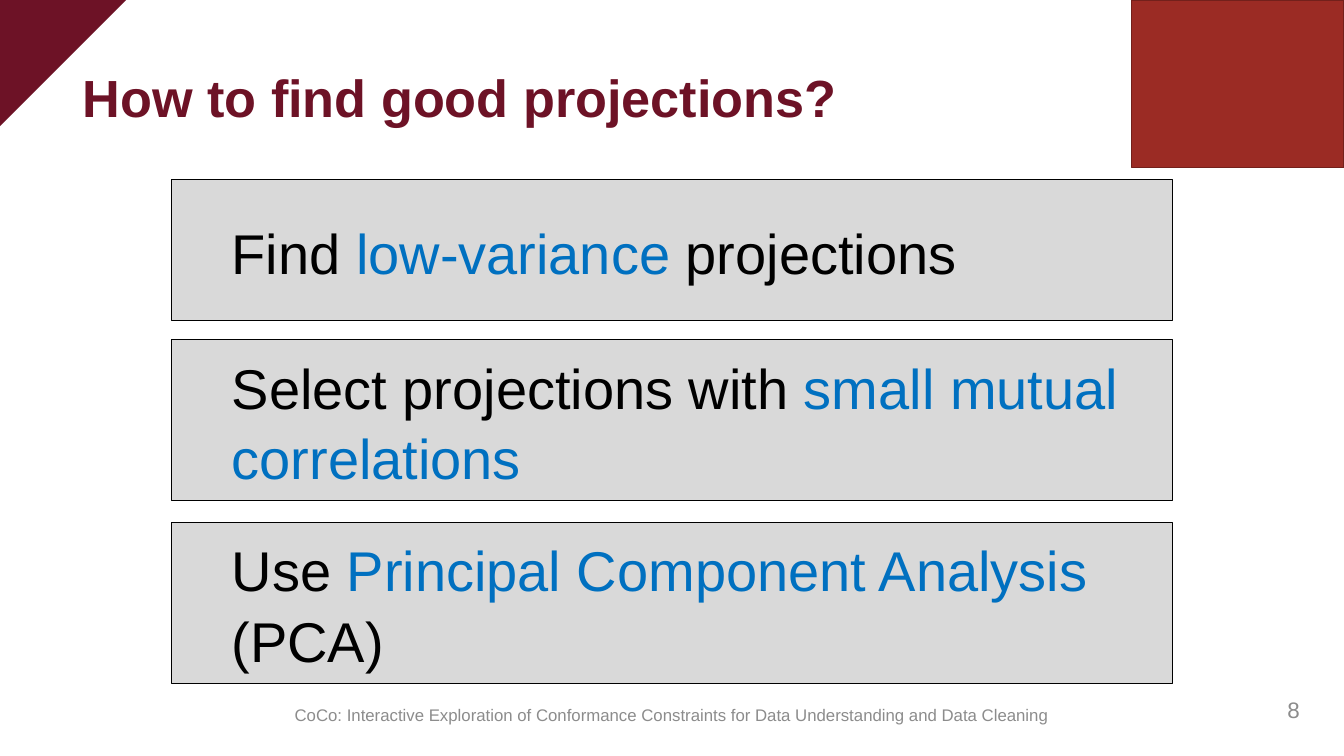
from pptx import Presentation
from pptx.dml.color import RGBColor
from pptx.enum.shapes import MSO_SHAPE
from pptx.enum.text import MSO_ANCHOR, PP_ALIGN
from pptx.util import Emu, Inches, Pt

SCALE = Inches(1) // 100
WINE = RGBColor(0x6D, 0x12, 0x26)
RED = RGBColor(0x9B, 0x2B, 0x24)
RUST = RGBColor(0x73, 0x20, 0x1B)
SILVER = RGBColor(0xD9, 0xD9, 0xD9)
GRAY = RGBColor(0x8C, 0x8C, 0x8C)
BLACK = RGBColor(0, 0, 0)
BLUE = RGBColor(0, 0x70, 0xC0)

# Top, height and coloured runs of each step
STEPS = [
    (178, 140, [("Find ", BLACK), ("low-variance", BLUE),
                (" projections", BLACK)]),
    (337, 160, [("Select projections with ", BLACK),
                ("small mutual correlations", BLUE)]),
    (518, 160, [("Use ", BLACK), ("Principal Component Analysis ", BLUE),
                ("(PCA)", BLACK)]),
]


def px(num):
    return Emu(num * SCALE)


def write(frame, runs, size, bold=False, align=PP_ALIGN.LEFT, wrap=True,
          indent=0, spacing=1.0):
    """Fill a text frame with one paragraph of (text, colour) runs."""
    frame.word_wrap = wrap
    frame.vertical_anchor = MSO_ANCHOR.MIDDLE
    para = frame.paragraphs[0]
    para.alignment = align
    para.line_spacing = spacing
    props = para._p.get_or_add_pPr()
    props.set("marL", str(px(indent)))
    props.set("indent", "0")
    for text, color in runs:
        run = para.add_run()
        run.text = text
        font = run.font
        font.name = "Arial"
        font.size = Pt(size)
        font.bold = bold
        font.color.rgb = color


class Page:
    def __init__(self, deck, font_size):
        self.slide = deck.slides.add_slide(deck.slide_layouts[5])
        self.shapes = self.slide.shapes
        self.size = font_size

    def title(self, text, *box):
        head = self.shapes.title
        head.left, head.top, head.width, head.height = map(px, box)
        frame = head.text_frame
        frame.margin_left = px(20)
        frame.margin_top = frame.margin_right = frame.margin_bottom = 0
        write(frame, [(text, WINE)], 37.3, bold=True, wrap=False)

    def shape(self, kind, *box, fill, line=None, weight=1):
        item = self.shapes.add_shape(kind, *map(px, box))
        item.shadow.inherit = False
        item.fill.solid()
        item.fill.fore_color.rgb = fill
        if line is None:
            item.line.fill.background()
        else:
            item.line.color.rgb = line
            item.line.width = Pt(weight)
        return item

    def step(self, top, height, runs):
        card = self.shape(MSO_SHAPE.RECTANGLE, 170, top, 993, height,
                          fill=SILVER, line=BLACK, weight=0.75)
        write(card.text_frame, runs, self.size, indent=50, spacing=1.05)

    def note(self, text, *box, size, align):
        label = self.shapes.add_textbox(*map(px, box))
        write(label.text_frame, [(text, GRAY)], size, align=align)


def main():
    deck = Presentation()
    deck.slide_width, deck.slide_height = px(1333), px(750)
    page = Page(deck, 40)
    corner = page.shape(MSO_SHAPE.RIGHT_TRIANGLE, 0, 0, 125, 125, fill=WINE)
    corner.rotation = 90
    page.title("How to find good projections?", 62, 62, 1208, 68)
    page.shape(MSO_SHAPE.RECTANGLE, 1122, 0, 211, 166, fill=RED, line=RUST)
    for step in STEPS:
        page.step(*step)
    page.note("8", 988, 684, 311, 40, size=16, align=PP_ALIGN.RIGHT)
    page.note("CoCo: Interactive Exploration of Conformance Constraints for "
              "Data Understanding and Data Cleaning",
              0, 695, 1333, 29, size=12, align=PP_ALIGN.CENTER)
    deck.save("out.pptx")


if __name__ == "__main__":
    main()
